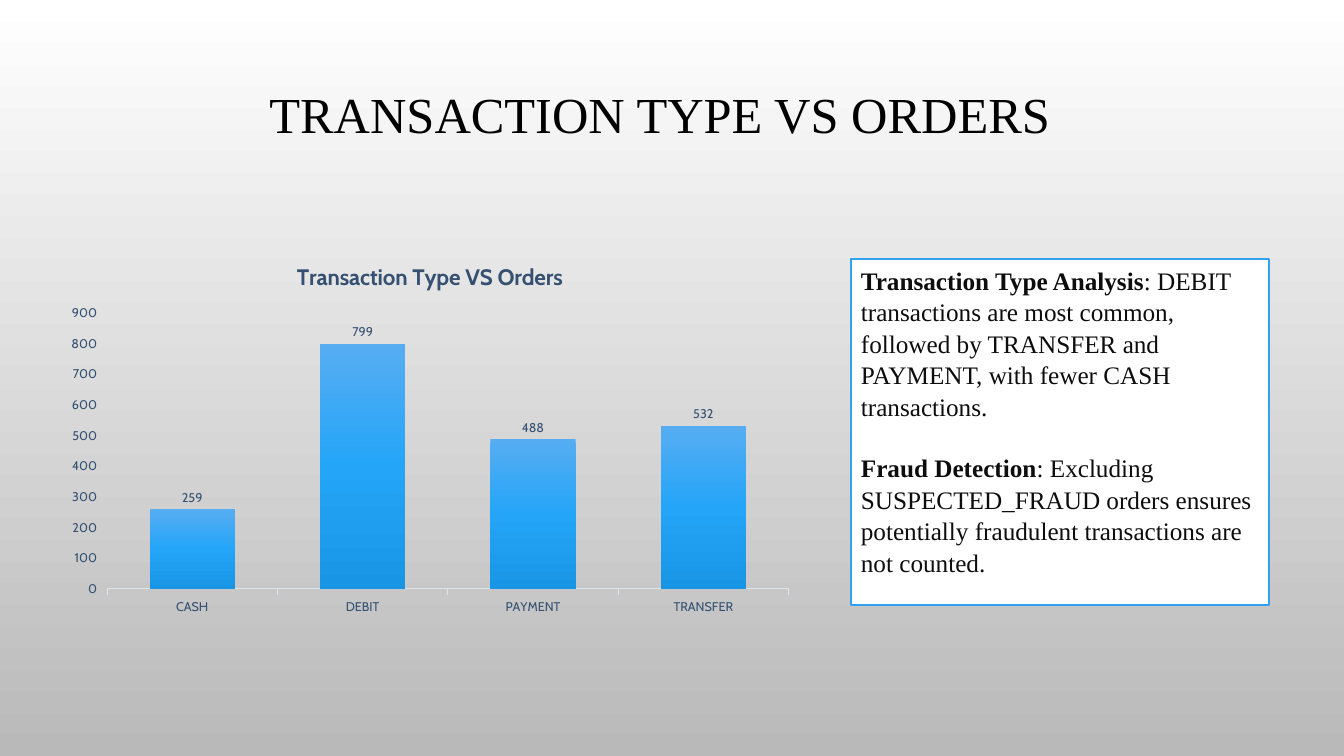
"""Build the slide on transaction types and their order counts."""
import copy
import dataclasses
import typing

import pptx
import pptx.chart.data
import pptx.dml.color
import pptx.enum.chart
import pptx.enum.shapes
import pptx.enum.text
import pptx.util

Inches = pptx.util.Inches
Pt = pptx.util.Pt
RGBColor = pptx.dml.color.RGBColor

WHITE = RGBColor(0xFF, 0xFF, 0xFF)
BLACK = RGBColor(0x00, 0x00, 0x00)
BACKGROUND_GRAY = RGBColor(0xB9, 0xB9, 0xB9)
BODY_BLACK = RGBColor(0x0D, 0x0D, 0x0D)
CHART_NAVY = RGBColor(0x35, 0x50, 0x71)
AXIS_GRAY = RGBColor(0xDC, 0xE4, 0xEF)
BORDER_BLUE = RGBColor(0x2F, 0xA3, 0xEE)
BAR_BLUES = [
    RGBColor(0x56, 0xAD, 0xF2),
    RGBColor(0x25, 0xA5, 0xF8),
    RGBColor(0x18, 0x95, 0xE5),
]

SERIF = "Times New Roman"
SANS = "Cabin"
TITLE_FONT = {"name": SERIF, "size": Pt(36), "bold": False}
BODY_FONT = {"name": SERIF, "size": Pt(18)}
CHART_FONT = {"name": SANS, "size": Pt(10)}
LABEL_FONT = {"name": SANS, "size": Pt(9), "bold": False}
CHART_TITLE_FONT = {"name": SANS, "size": Pt(16), "bold": True}

ORDERS = {"CASH": 259, "DEBIT": 799, "PAYMENT": 488, "TRANSFER": 532}


@dataclasses.dataclass
class Box:
    left: float
    top: float
    width: float
    height: float

    def lengths(self) -> list[int]:
        return [Inches(value) for value in dataclasses.astuple(self)]


@dataclasses.dataclass
class Finding:
    heading: str
    detail: str


TITLE_BOX = Box(0.88, 0.29, 11.33, 1.75)
CHART_BOX = Box(0.56, 2.43, 7.41, 3.74)
FINDINGS_BOX = Box(8.44, 2.57, 4.15, 3.43)
FINDINGS = [
    Finding(
        "Transaction Type Analysis",
        ": DEBIT transactions are most common, followed by TRANSFER and "
        "PAYMENT, with fewer CASH transactions.",
    ),
    Finding(
        "Fraud Detection",
        ": Excluding SUSPECTED_FRAUD orders ensures potentially fraudulent "
        "transactions are not counted.",
    ),
]


def apply_format(target: typing.Any, values: dict[str, typing.Any]) -> None:
    for name, value in values.items():
        setattr(target, name, value)


def format_font(font: typing.Any, values: dict[str, typing.Any], color: RGBColor) -> None:
    apply_format(font, values)
    font.color.rgb = color


def fill_gradient(fill: typing.Any, parent: typing.Any, colors: list[RGBColor]) -> None:
    fill.gradient()
    fill.gradient_angle = 270
    stop_list = parent.xpath(".//a:gsLst")[0]
    for _ in colors[2:]:
        stop_list.append(copy.deepcopy(stop_list[-1]))
    for index, (stop, color) in enumerate(zip(fill.gradient_stops, colors)):
        stop.position = index / (len(colors) - 1)
        stop.color.rgb = color


def add_title(slide: typing.Any) -> None:
    title = slide.shapes.title
    title.left, title.top, title.width, title.height = TITLE_BOX.lengths()
    title.text_frame.vertical_anchor = pptx.enum.text.MSO_ANCHOR.MIDDLE
    paragraph = title.text_frame.paragraphs[0]
    apply_format(paragraph, {"alignment": pptx.enum.text.PP_ALIGN.CENTER, "line_spacing": 0.9})
    run = paragraph.add_run()
    run.text = "TRANSACTION TYPE VS ORDERS"
    format_font(run.font, TITLE_FONT, BLACK)


def add_orders_chart(slide: typing.Any) -> None:
    chart_data = pptx.chart.data.CategoryChartData()
    chart_data.categories = list(ORDERS)
    chart_data.add_series("Series 1", list(ORDERS.values()))
    chart = slide.shapes.add_chart(
        pptx.enum.chart.XL_CHART_TYPE.COLUMN_CLUSTERED, *CHART_BOX.lengths(), chart_data
    ).chart
    format_font(chart.font, CHART_FONT, BLACK)
    chart.has_legend = False
    chart.has_title = True
    run = chart.chart_title.text_frame.paragraphs[0].add_run()
    run.text = "Transaction Type VS Orders"
    format_font(run.font, CHART_TITLE_FONT, CHART_NAVY)

    for axis in (chart.category_axis, chart.value_axis):
        apply_format(
            axis,
            {
                "has_major_gridlines": False,
                "major_tick_mark": pptx.enum.chart.XL_TICK_MARK.OUTSIDE,
                "minor_tick_mark": pptx.enum.chart.XL_TICK_MARK.NONE,
            },
        )
        format_font(axis.tick_labels.font, LABEL_FONT, CHART_NAVY)
    category_line = chart.category_axis.format.line
    category_line.color.rgb = AXIS_GRAY
    category_line.width = Pt(0.75)
    chart.value_axis.format.line.fill.background()

    plot = chart.plots[0]
    apply_format(
        plot,
        {"gap_width": 100, "overlap": -24, "vary_by_categories": False, "has_data_labels": True},
    )
    labels = plot.data_labels
    position = pptx.enum.chart.XL_LABEL_POSITION.OUTSIDE_END
    apply_format(labels, {"show_value": True, "position": position})
    format_font(labels.font, LABEL_FONT, CHART_NAVY)
    series = plot.series[0]
    fill_gradient(series.format.fill, series._element, BAR_BLUES)


def add_findings(slide: typing.Any) -> None:
    shape = slide.shapes.add_shape(
        pptx.enum.shapes.MSO_SHAPE.RECTANGLE, *FINDINGS_BOX.lengths()
    )
    shape.shadow.inherit = False
    shape.fill.solid()
    shape.fill.fore_color.rgb = WHITE
    shape.line.color.rgb = BORDER_BLUE
    shape.line.width = Pt(1.25)
    frame = shape.text_frame
    apply_format(
        frame, {"word_wrap": True, "vertical_anchor": pptx.enum.text.MSO_ANCHOR.TOP}
    )
    for index, finding in enumerate(FINDINGS):
        paragraph = frame.add_paragraph() if index else frame.paragraphs[0]
        apply_format(
            paragraph,
            {
                "alignment": pptx.enum.text.PP_ALIGN.LEFT,
                "line_spacing": 1.04,
                "space_before": Pt(21.6 if index else 0),
            },
        )
        for text, bold in ((finding.heading, True), (finding.detail, False)):
            run = paragraph.add_run()
            run.text = text
            format_font(run.font, {**BODY_FONT, "bold": bold}, BODY_BLACK)


def main() -> None:
    presentation = pptx.Presentation()
    presentation.slide_width = Inches(13.33)
    presentation.slide_height = Inches(7.5)
    slide = presentation.slides.add_slide(presentation.slide_layouts.get_by_name("Title Only"))
    fill_gradient(slide.background.fill, slide._element, [WHITE, BACKGROUND_GRAY])
    add_title(slide)
    add_orders_chart(slide)
    add_findings(slide)
    presentation.save("out.pptx")


if __name__ == "__main__":
    main()
